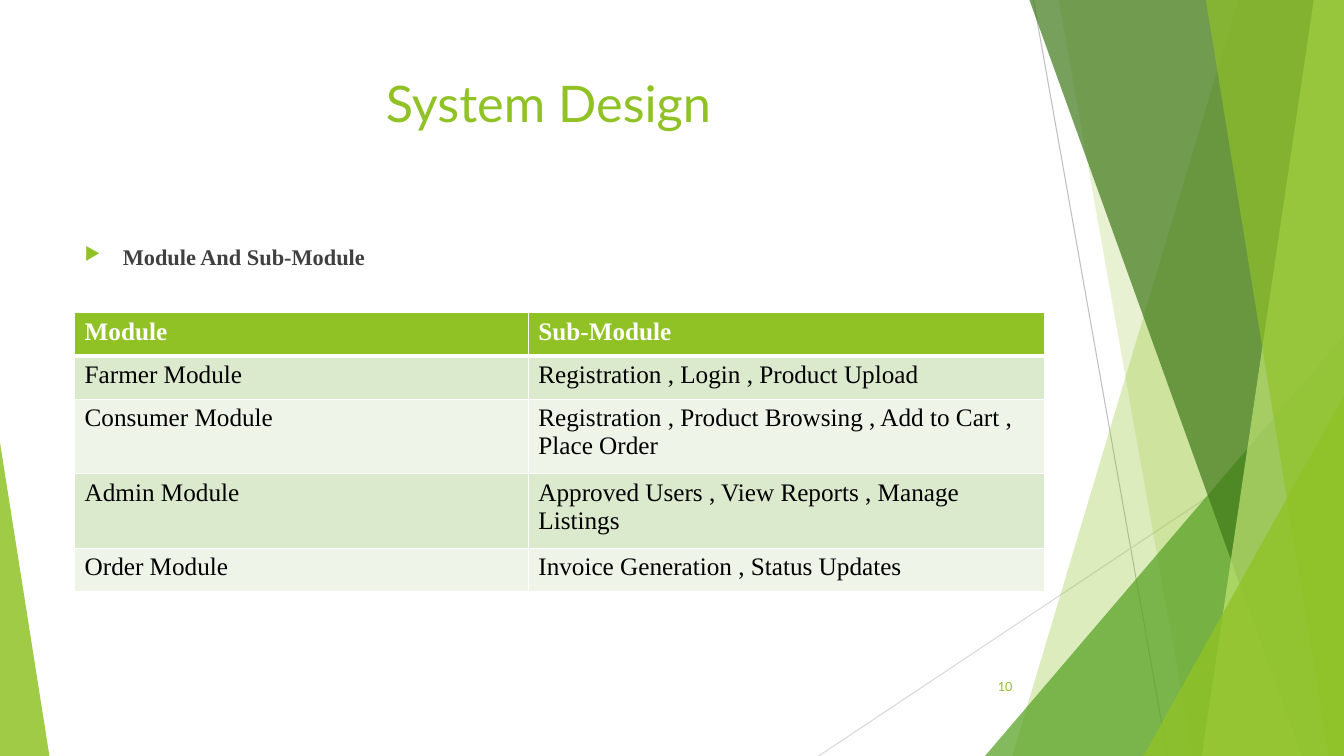
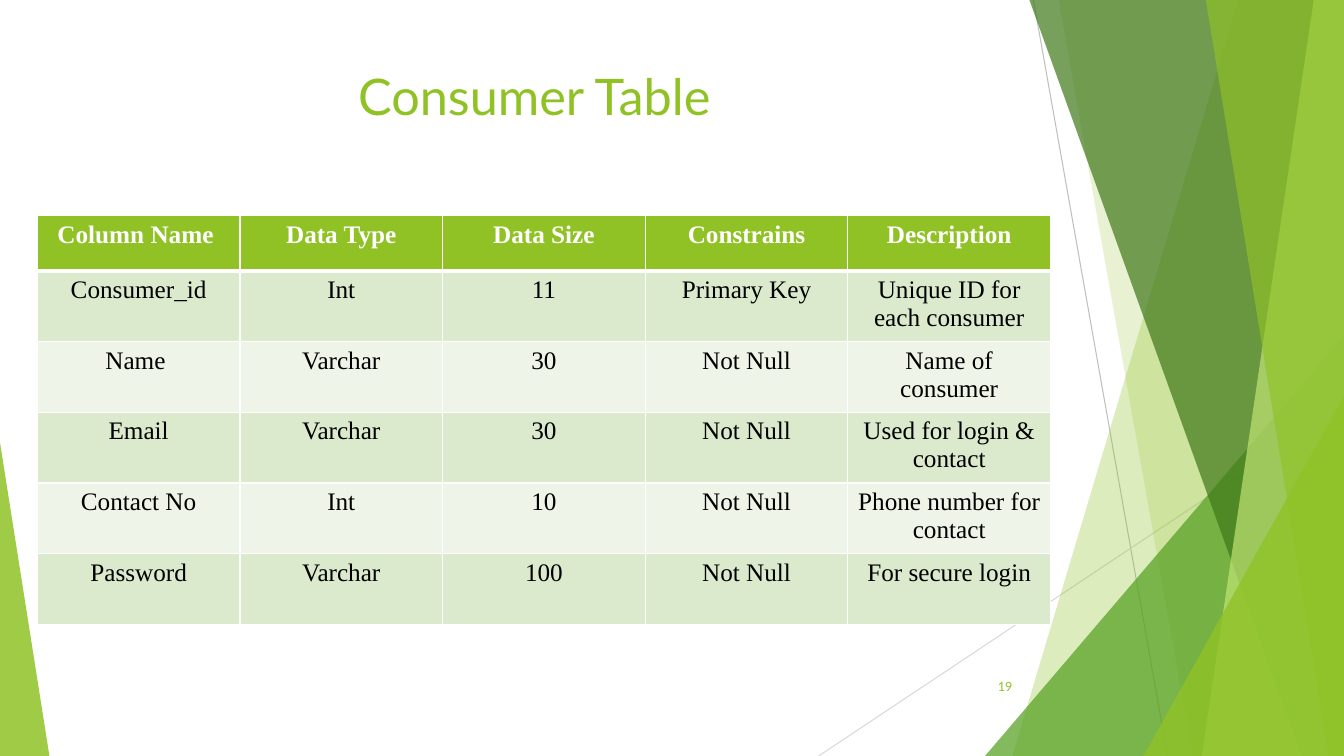
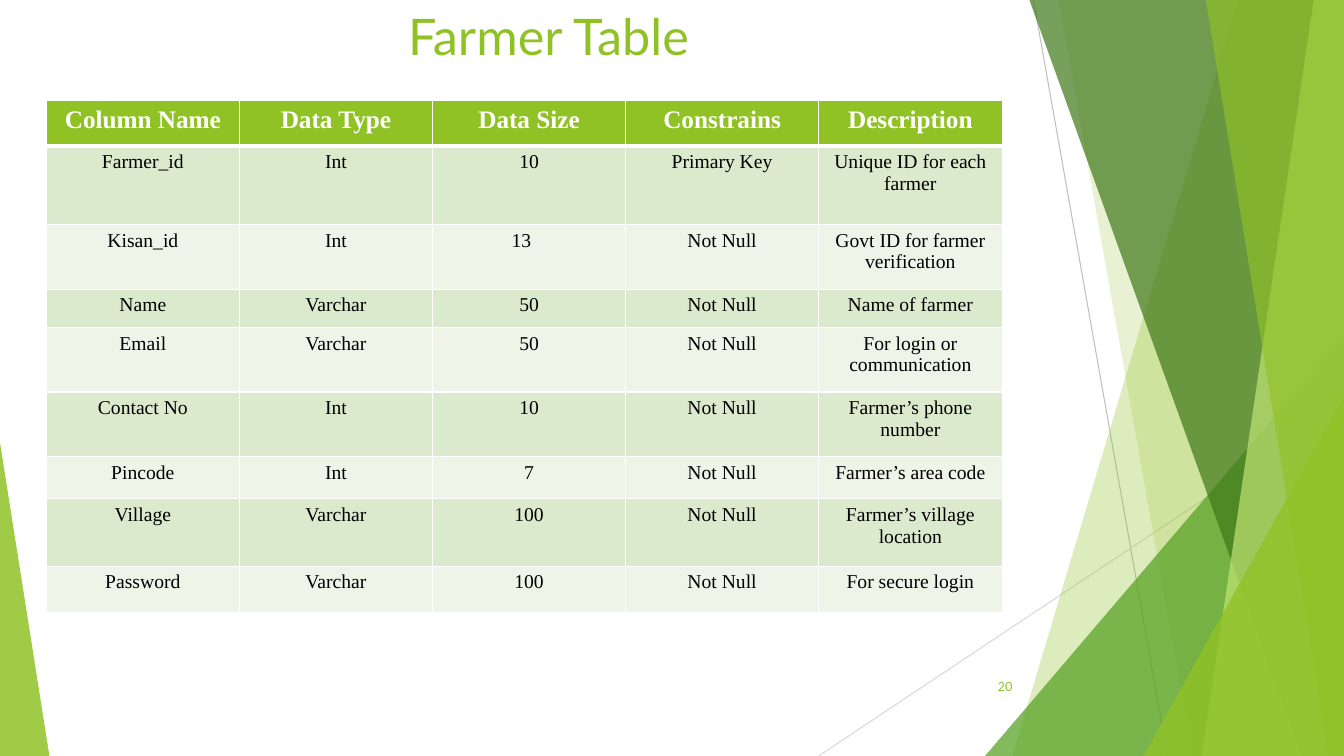
import dataclasses
import lxml.etree
import pptx
import pptx.dml.color
import pptx.enum.shapes
import pptx.enum.text
import pptx.oxml.ns
import pptx.util

WIDE, HIGH = 13.33, 7.5


@dataclasses.dataclass(frozen=True)
class Theme:
    lime: str = "90C226"
    leaf: str = "54A021"
    moss: str = "3F7819"
    pale: str = "C0E474"
    white: str = "FFFFFF"
    ink: str = "000000"
    gray: str = "404040"
    rows: tuple = ("DBE9CD", "EEF4E8")
    sans: str = "Lato"
    serif: str = "Times New Roman"
    title: int = 36
    lead: int = 16
    head: int = 18
    foot: int = 9
    thin: int = 1
    thick: int = 3


THEME = Theme()
CENTER = pptx.enum.text.PP_ALIGN.CENTER
LEFT = pptx.enum.text.PP_ALIGN.LEFT
RIGHT = pptx.enum.text.PP_ALIGN.RIGHT

# Content
FIELDS = ("Column Name", "Data Type", "Data Size", "Constrains", "Description")
SLIDES = [
    dict(
        title="System Design", place=(0.74, 0.67, 9.4, 1.44), page="10",
        lead="Module And Sub-Module",
        table=dict(
            at=(0.74, 3.1), cols=(4.5, 5.12), size=18, align=LEFT,
            rows=(0.43, 0.43, 0.74, 0.74, 0.43),
            cells=[
                ("Module", "Sub-Module"),
                ("Farmer Module", "Registration , Login , Product Upload"),
                ("Consumer Module",
                 "Registration , Product Browsing , Add to Cart , Place Order"),
                ("Admin Module",
                 "Approved Users , View Reports , Manage Listings"),
                ("Order Module", "Invoice Generation , Status Updates"),
            ])),
    dict(
        title="Consumer Table", place=(0.6, 0.6, 9.4, 1.44), page="19",
        table=dict(
            at=(0.37, 2.14), cols=(2.01,) * 5, size=18, align=CENTER,
            rows=(0.55,) + (0.65,) * 4 + (0.7,),
            cells=[
                ("Column Name ",) + FIELDS[1:],
                ("Consumer_id", "Int", "11", "Primary Key",
                 "Unique ID for each consumer"),
                ("Name ", "Varchar", "30", "Not Null", "Name of consumer"),
                ("Email", "Varchar", "30", "Not Null",
                 "Used for login & contact"),
                ("Contact No", "Int", "10", "Not Null",
                 "Phone number for contact"),
                ("Password", "Varchar", "100", "Not Null", "For secure login"),
            ])),
    dict(
        title="Farmer Table", place=(0.74, 0, 9.4, 0.75), page="20",
        table=dict(
            at=(0.46, 1), cols=(1.915,) * 4 + (1.82,), size=14, align=CENTER,
            rows=(0.45, 0.78, 0.64, 0.38, 0.64, 0.64, 0.42, 0.67, 0.46),
            inset={(2, 2): 0.25},
            cells=[
                FIELDS,
                ("Farmer_id", "Int", "10", "Primary Key",
                 "Unique ID for each farmer"),
                ("Kisan_id", "Int", "13", "Not Null",
                 "Govt ID for farmer verification"),
                ("Name", "Varchar", "50", "Not Null", "Name of farmer"),
                ("Email", "Varchar", "50", "Not Null",
                 "For login or communication"),
                ("Contact No", "Int", "10", "Not Null",
                 "Farmer’s phone number"),
                ("Pincode", "Int", "7", "Not Null", "Farmer’s area code"),
                ("Village", "Varchar", "100", "Not Null",
                 "Farmer’s village location"),
                ("Password", "Varchar", "100", "Not Null", "For secure login"),
            ])),
]

# Backdrop, back to front
LINES = [
    ((10.25, 0), (11.58, HIGH), "BFBFBF"),
    ((WIDE, 4.03), (8.12, HIGH), "D9D9D9"),
]
# A band runs from its top x and foot x to the right edge;
# a wedge stands on the foot of the slide: left, top, width, peak.
SHARDS = [
    ("band", (12.28, 10.04), THEME.lime, 30),
    ("band", (10.5, 11.83), THEME.lime, 20),
    ("wedge", (9.77, 3.33, 3.56, 1), THEME.leaf, 72),
    ("band", (10.21, 12.91), THEME.moss, 70),
    ("band", (13.03, 11.92), THEME.pale, 70),
    ("band", (11.96, 13.18), THEME.lime, 65),
    ("wedge", (11.34, 3.93, 1.99, 1), THEME.lime, 80),
    ("wedge", (0, 4.39, 0.49, 0), THEME.lime, 85),
]


def inch(*sizes):
    return [pptx.util.Inches(size) for size in sizes]


def tint(color):
    return pptx.dml.color.RGBColor.from_string(color)


def add_node(parent, tag, **attrs):
    node = lxml.etree.SubElement(parent, pptx.oxml.ns.qn(tag))
    for key, value in attrs.items():
        node.set(key, str(value))
    return node


def write(frame, text, font, size, color, align=LEFT, bold=False):
    frame.text = text
    para = frame.paragraphs[0]
    para.alignment = align
    for run in para.runs:
        run.font.name = font
        run.font.size = pptx.util.Pt(size)
        run.font.bold = bold
        run.font.color.rgb = tint(color)
    return para


def add_text(slide, place, *style, **more):
    frame = slide.shapes.add_textbox(*inch(*place)).text_frame
    frame.word_wrap = True
    return frame, write(frame, *style, **more)


def add_shard(slide, kind, spots, color, alpha):
    if kind == "band":
        top, foot = spots
        pen = slide.shapes.build_freeform(*inch(top, 0), scale=1.0)
        pen.add_line_segments(
            [inch(WIDE, 0), inch(WIDE, HIGH), inch(foot, HIGH)], close=True)
        shape = pen.convert_to_shape()
    else:
        left, top, width, peak = spots
        shape = slide.shapes.add_shape(
            pptx.enum.shapes.MSO_SHAPE.ISOSCELES_TRIANGLE,
            *inch(left, top, width, HIGH - top))
        shape.adjustments[0] = peak
    shape.shadow.inherit = False
    shape.line.fill.background()
    shape.fill.solid()
    shape.fill.fore_color.rgb = tint(color)
    paint = shape.fill._xPr.find(".//" + pptx.oxml.ns.qn("a:srgbClr"))
    add_node(paint, "a:alpha", val=alpha * 1000)


def add_backdrop(slide):
    for start, end, color in LINES:
        line = slide.shapes.add_connector(
            pptx.enum.shapes.MSO_CONNECTOR.STRAIGHT, *inch(*start, *end))
        line.line.color.rgb = tint(color)
        line.line.width = pptx.util.Pt(0.75)
        add_node(line._element.spPr, "a:effectLst")
    for shard in SHARDS:
        add_shard(slide, *shard)


def add_lead(slide, text):
    _, para = add_text(slide, (0.74, 2.36, 9.4, 0.5), text, THEME.serif,
                       THEME.lead, THEME.gray, bold=True)
    para.space_before = pptx.util.Pt(10)
    props = para._p.get_or_add_pPr()
    hang = pptx.util.Inches(0.38)
    props.set("marL", str(hang))
    props.set("indent", str(-hang))
    add_node(add_node(props, "a:buClr"), "a:srgbClr", val=THEME.lime)
    add_node(props, "a:buSzPct", val=80000)
    add_node(props, "a:buChar", char="▶")


def add_rules(cell, row):
    # Cell borders, with a heavy rule under the header
    heavy = {(0, "B"), (1, "T")}
    for side in "LRTB":
        width = THEME.thick if (row, side) in heavy else THEME.thin
        edge = add_node(cell._tc.get_or_add_tcPr(), "a:ln" + side,
                        w=pptx.util.Pt(width))
        add_node(add_node(edge, "a:solidFill"), "a:srgbClr", val=THEME.white)


def add_grid(slide, at, cols, rows, cells, size, align, inset=None):
    table = slide.shapes.add_table(
        len(rows), len(cols), *inch(*at, sum(cols), sum(rows))).table
    for col, width in zip(table.columns, cols):
        col.width = pptx.util.Inches(width)
    for row, height in zip(table.rows, rows):
        row.height = pptx.util.Inches(height)
    for r, line in enumerate(cells):
        head = r == 0
        fill = THEME.lime if head else THEME.rows[(r - 1) % 2]
        for c, text in enumerate(line):
            cell = table.cell(r, c)
            add_rules(cell, r)
            cell.fill.solid()
            cell.fill.fore_color.rgb = tint(fill)
            if inset and (r, c) in inset:
                cell.margin_right = pptx.util.Inches(inset[r, c])
            write(cell.text_frame, text, THEME.serif,
                  THEME.head if head else size,
                  THEME.white if head else THEME.ink, align, head)


def main():
    deck = pptx.Presentation()
    deck.slide_width, deck.slide_height = inch(WIDE, HIGH)
    for item in SLIDES:
        slide = deck.slides.add_slide(deck.slide_layouts[6])
        add_backdrop(slide)
        add_text(slide, item["place"], item["title"], THEME.sans,
                 THEME.title, THEME.lime, align=CENTER)
        if "lead" in item:
            add_lead(slide, item["lead"])
        add_grid(slide, **item["table"])
        frame, _ = add_text(slide, (9.39, 6.61, 0.75, 0.4), item["page"],
                            THEME.sans, THEME.foot, THEME.lime, align=RIGHT)
        frame.vertical_anchor = pptx.enum.text.MSO_ANCHOR.MIDDLE
    deck.save("out.pptx")


if __name__ == "__main__":
    main()
